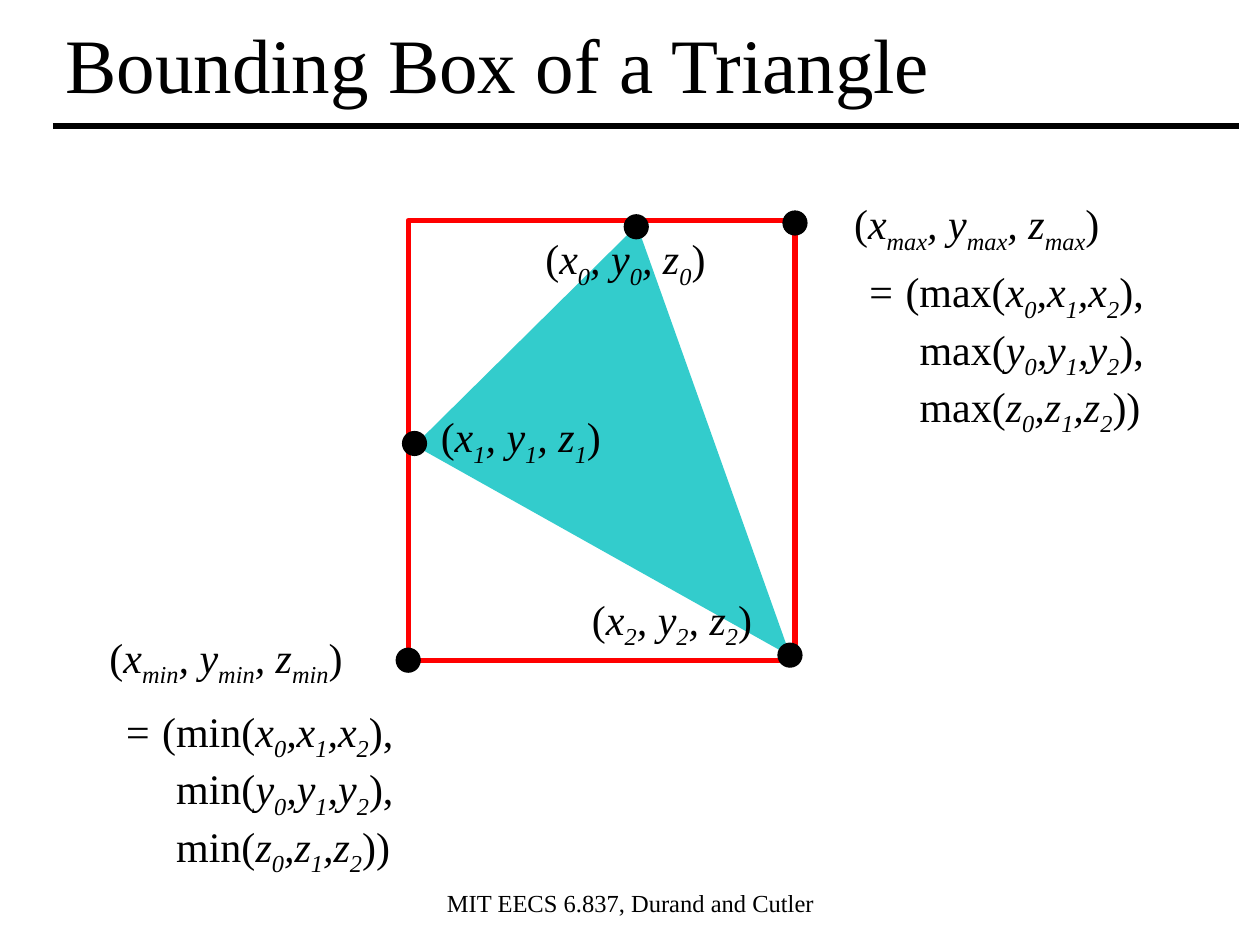
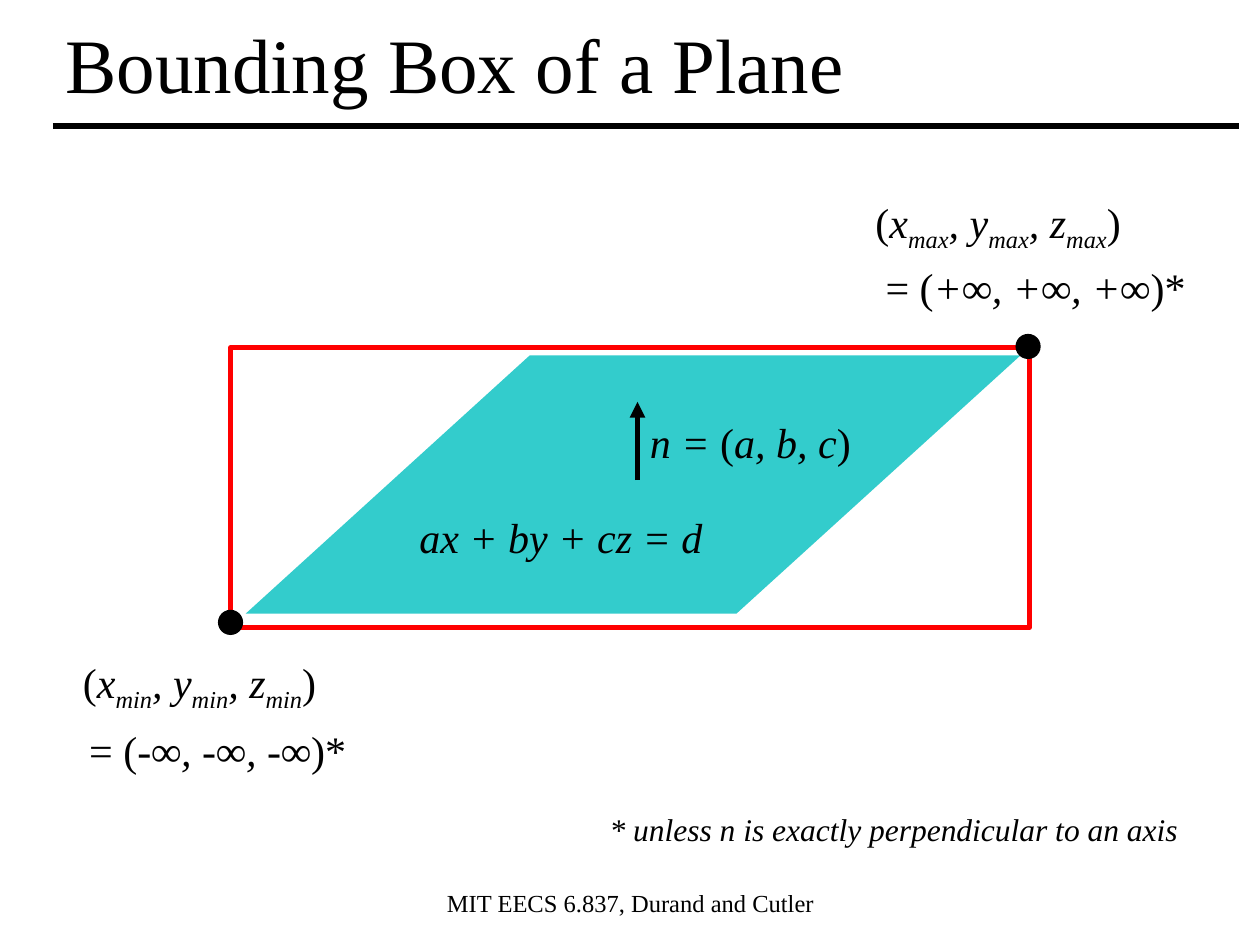
from lxml import etree
from pptx import Presentation
from pptx.dml.color import RGBColor
from pptx.enum.shapes import MSO_CONNECTOR, MSO_SHAPE
from pptx.enum.text import MSO_ANCHOR, PP_ALIGN
from pptx.oxml.ns import qn
from pptx.util import Inches, Pt

STRAIGHT = MSO_CONNECTOR.STRAIGHT
OVAL, RECTANGLE = MSO_SHAPE.OVAL, MSO_SHAPE.RECTANGLE
TRIANGLE, PARALLELOGRAM = MSO_SHAPE.ISOSCELES_TRIANGLE, MSO_SHAPE.PARALLELOGRAM
TOP, MIDDLE = MSO_ANCHOR.TOP, MSO_ANCHOR.MIDDLE
LEFT, CENTER = PP_ALIGN.LEFT, PP_ALIGN.CENTER

COLORS = {name: RGBColor.from_string(value) for name, value in {
    "ink": "000000", "frame": "FF0000", "figure": "33CCCC"}.items()}
FONT = "Times New Roman"
GRID = Inches(0.1)  # the slide is 100 columns by 75 rows
DOT = 2
CONTINUATION = 4.2  # columns by which later lines of a formula step in
COURSE = "MIT EECS 6.837, Durand and Cutler"


def grid(*cells):
    return [round(cell * GRID) for cell in cells]


def write(slide, box, text, size=24, align=LEFT, anchor=TOP):
    """Add text in which |bars| enclose italics and _underscores_ subscripts."""
    frame = slide.shapes.add_textbox(*grid(*box)).text_frame
    frame.word_wrap = True
    frame.vertical_anchor = anchor
    for row, line in enumerate(text.split("\n")):
        paragraph = frame.add_paragraph() if row else frame.paragraphs[0]
        if row:
            paragraph._p.get_or_add_pPr().set("marL", str(grid(CONTINUATION)[0]))
        paragraph.alignment = align
        paragraph.font.name = FONT
        paragraph.font.size = Pt(size)
        paragraph.font.color.rgb = COLORS["ink"]
        for part, phrase in enumerate(line.split("|")):
            for level, piece in enumerate(phrase.split("_")):
                if not piece:
                    continue
                run = paragraph.add_run()
                run.text = piece
                if part % 2:
                    run.font.italic = True
                if level % 2:
                    run._r.get_or_add_rPr().set("baseline", "-25000")


POINT = "(|x_{0}_, y_{0}_, z_{0}_|)"
EXTREME = ("|= |({0}(|x_0_,x_1_,x_2_|),\n"
           "{0}(|y_0_,y_1_,y_2_|),\n"
           "{0}(|z_0_,z_1_,z_2_|))")

# Boxes are left, top, width, height; dots are left, top
scenes = [
    {
        "title": "Bounding Box of a Triangle",
        "figure": (TRIANGLE, (27.9, 27.5, 36.3, 22.5), 250.4, 0.71),
        "frame": (32.4, 17.5, 30.7, 34.9),
        "dots": [(31.4, 51.4), (62.1, 16.7), (31.9, 34.2), (49.5, 17), (61.7, 51)],
        "labels": [
            ((7.7, 49.6, 24.7, 5.6), POINT.format("min")),
            ((66.8, 15.2, 24.7, 5.6), POINT.format("max")),
            ((42.3, 18, 15.7, 5.6), POINT.format(0)),
            ((34, 32.1, 15.7, 5.6), POINT.format(1)),
            ((46, 46.6, 15.7, 5.6), POINT.format(2)),
            ((8.8, 55.5, 26.5, 14.7), EXTREME.format("min")),
            ((67.8, 20.6, 29.2, 14.7), EXTREME.format("max")),
        ],
        "arrows": [],
    },
    {
        "title": "Bounding Box of a Plane",
        "figure": (PARALLELOGRAM, (19.5, 28.2, 61.5, 20.5), 0, 1.1),
        "frame": (18.3, 27.6, 63.4, 22.2),
        "dots": [(80.6, 26.5), (17.3, 48.4)],
        "labels": [
            ((5.6, 51.6, 24.7, 5.6), POINT.format("min")),
            ((68.5, 15.1, 24.7, 5.6), POINT.format("max")),
            ((6.1, 57, 24.7, 5), "= (|-∞, -∞, -∞|)*"),
            ((69.3, 20.3, 27.9, 5), "= (|+∞, +∞, +∞|)*"),
            ((50.6, 32.6, 22.3, 5), "|n = |(|a, b, c|)"),
            ((32.3, 40.1, 25, 5), "|ax + by + cz = d|"),
            ((47.4, 63.8, 50.4, 4), "|* unless n is exactly perpendicular to an axis|", 18),
        ],
        "arrows": [(50.6, 38.1, 50.6, 31.9)],
    },
]
TITLE_RULE = (4.2, 10, 98.3, 10)

prs = Presentation()
prs.slide_width, prs.slide_height = grid(100, 75)

for scene in scenes:
    slide = prs.slides.add_slide(prs.slide_layouts[6])
    write(slide, (34.2, 70, 31.7, 5.7), COURSE, 14, CENTER)
    write(slide, (4.2, 0, 94.1, 9.9), scene["title"], 44, anchor=MIDDLE)

    kind, box, rotation, adjustment = scene["figure"]
    figure = slide.shapes.add_shape(kind, *grid(*box))
    figure.rotation = rotation
    figure.adjustments[0] = adjustment
    bounds = slide.shapes.add_shape(RECTANGLE, *grid(*scene["frame"]))
    bounds.fill.background()
    bounds.line.color.rgb = COLORS["frame"]
    bounds.line.width = Pt(3)
    dots = [slide.shapes.add_shape(OVAL, *grid(left, top, DOT, DOT))
            for left, top in scene["dots"]]
    for solid, color in [(figure, "figure")] + [(dot, "ink") for dot in dots]:
        solid.fill.solid()
        solid.fill.fore_color.rgb = COLORS[color]
        solid.line.fill.background()
    for shape in [figure, bounds, *dots]:
        shape.shadow.inherit = False

    for ends in [TITLE_RULE, *scene["arrows"]]:
        stroke = slide.shapes.add_connector(STRAIGHT, *grid(*ends))
        stroke.line.color.rgb = COLORS["ink"]
        stroke.line.width = Pt(3)
        if ends != TITLE_RULE:
            etree.SubElement(stroke.line._get_or_add_ln(), qn("a:tailEnd"), type="triangle")
        etree.SubElement(stroke._element.spPr, qn("a:effectLst"))

    for label in scene["labels"]:
        write(slide, *label)

prs.save("out.pptx")
